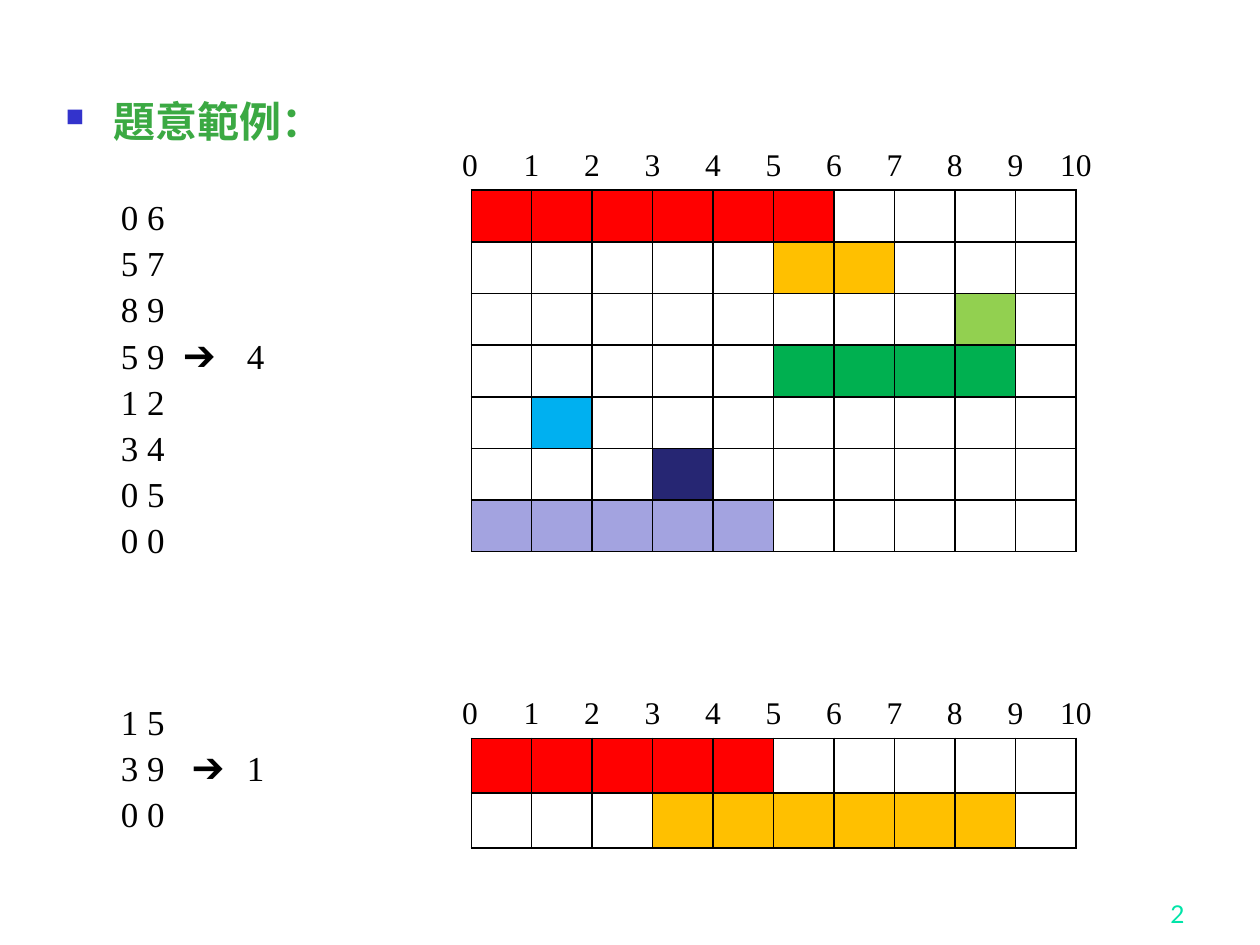
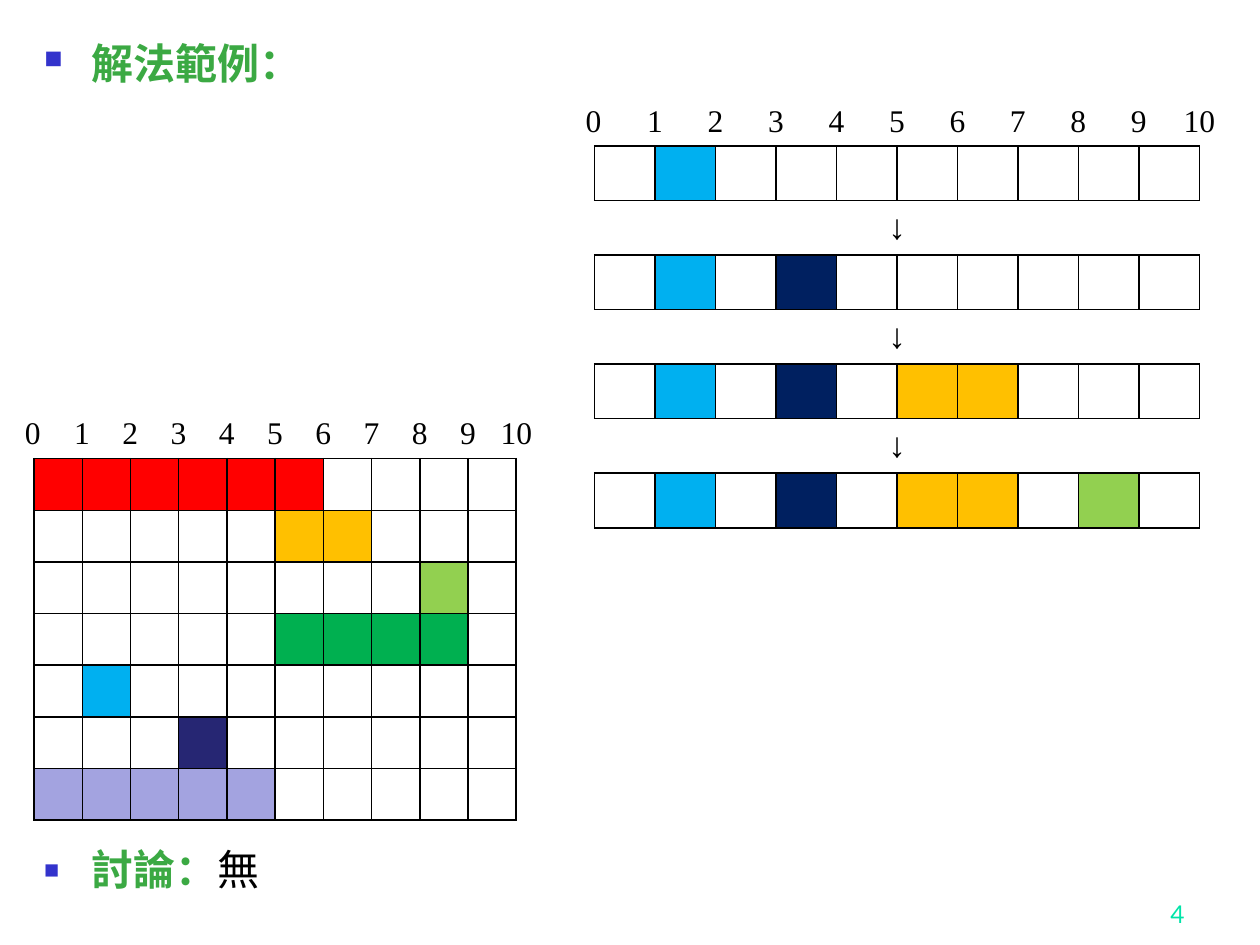
from dataclasses import dataclass
from typing import Optional

import lxml.etree
import pptx
import pptx.dml.color
import pptx.enum.text
import pptx.oxml.ns
import pptx.util

RGBColor = pptx.dml.color.RGBColor
Pt = pptx.util.Pt
Align = pptx.enum.text.PP_ALIGN
Anchor = pptx.enum.text.MSO_ANCHOR
qn = pptx.oxml.ns.qn

EMU_PER_PX = 9144
SERIF = "Times New Roman"
SANS = "Lato"

BLACK = RGBColor(0x00, 0x00, 0x00)
HEADING_GREEN = RGBColor(0x3B, 0xA9, 0x43)
BULLET_BLUE = RGBColor(0x33, 0x33, 0xCC)
NUMBER_TEAL = RGBColor(0x00, 0xE4, 0xA8)
RED = RGBColor(0xFF, 0x00, 0x00)
AMBER = RGBColor(0xFF, 0xC0, 0x00)
LIME = RGBColor(0x92, 0xD0, 0x50)
GREEN = RGBColor(0x00, 0xB0, 0x50)
SKY = RGBColor(0x00, 0xB0, 0xF0)
INDIGO = RGBColor(0x26, 0x26, 0x73)
LAVENDER = RGBColor(0xA3, 0xA3, 0xE0)
NAVY = RGBColor(0x00, 0x20, 0x60)

UNITS = 10
AXIS_OVERHANG = 17
AXIS_RISE = 41
TEXT_INSET = 10
HEADING_INDENT = 38


@dataclass(frozen=True)
class Box:
    left: int
    top: int
    width: int
    height: int


@dataclass(frozen=True)
class Interval:
    start: int
    end: int
    color: RGBColor


Row = Optional[tuple[Interval, ...]]


@dataclass(frozen=True)
class Timeline:
    left: int
    top: int
    width: int
    height: int
    rows: tuple[Row, ...]


def one_per_row(*intervals: Interval) -> tuple[Row, ...]:
    return tuple((interval,) for interval in intervals)


def growing_selection(*chosen: Interval) -> tuple[Row, ...]:
    rows: list[Row] = []
    for count in range(1, len(chosen) + 1):
        rows += [chosen[:count], None]
    return tuple(rows[:-1])


FIRST_SAMPLE = one_per_row(
    Interval(0, 6, RED),
    Interval(5, 7, AMBER),
    Interval(8, 9, LIME),
    Interval(5, 9, GREEN),
    Interval(1, 2, SKY),
    Interval(3, 4, INDIGO),
    Interval(0, 5, LAVENDER),
)
SECOND_SAMPLE = one_per_row(Interval(1 - 1, 5, RED), Interval(3, 9, AMBER))
SELECTION = growing_selection(
    Interval(1, 2, SKY),
    Interval(3, 4, NAVY),
    Interval(5, 7, AMBER),
    Interval(8, 9, LIME),
)
FIRST_INPUT = ("0 6", "5 7", "8 9", "5 9\t➔\t4", "1 2", "3 4", "0 5", "0 0")
SECOND_INPUT = ("1 5", "3 9\t ➔\t1", "0 0")


def px(length: int) -> int:
    return length * EMU_PER_PX


def place(shape, box: Box) -> None:
    shape.left, shape.top = px(box.left), px(box.top)
    shape.width, shape.height = px(box.width), px(box.height)
    frame = shape.text_frame
    frame.word_wrap = True
    frame.auto_size = pptx.enum.text.MSO_AUTO_SIZE.NONE
    frame.vertical_anchor = Anchor.TOP


def add_text_box(slide, box: Box):
    shape = slide.shapes.add_textbox(0, 0, 0, 0)
    place(shape, box)
    return shape.text_frame


def set_font(font, size: int, color: RGBColor, name: str = SERIF, bold: bool = False) -> None:
    font.size = Pt(size)
    font.name = name
    font.bold = bold
    font.color.rgb = color


def add_xml(parent, tag: str, **attributes: str):
    return lxml.etree.SubElement(parent, qn(tag), attributes)


def add_tabs(paragraph, positions: list[int], align: str) -> None:
    tabs = add_xml(paragraph._p.get_or_add_pPr(), "a:tabLst")
    for position in positions:
        add_xml(tabs, "a:tab", pos=str(position), algn=align)


def format_heading(paragraph) -> None:
    properties = paragraph._p.get_or_add_pPr()
    properties.set("marL", str(px(HEADING_INDENT)))
    properties.set("indent", str(-px(HEADING_INDENT)))
    add_xml(add_xml(properties, "a:buClr"), "a:srgbClr", val=str(BULLET_BLUE))
    add_xml(properties, "a:buSzPct", val="60000")
    add_xml(properties, "a:buChar", char="■")
    paragraph.alignment = Align.LEFT
    paragraph.line_spacing = 0.9
    paragraph.space_before = Pt(0)


def fill_title(slide, text: str, box: Box) -> None:
    title = slide.shapes.title
    place(title, box)
    paragraph = title.text_frame.paragraphs[0]
    paragraph.text = text
    format_heading(paragraph)
    set_font(paragraph.font, 24, HEADING_GREEN, bold=True)


def fill_samples(slide, samples: tuple[tuple[str, ...], ...], box: Box) -> None:
    body = slide.placeholders[1]
    place(body, box)
    frame = body.text_frame
    frame.text = "\n".join(line for sample in samples for line in sample)
    sample_starts = {len(samples[0])}
    for index, paragraph in enumerate(frame.paragraphs):
        properties = paragraph._p.get_or_add_pPr()
        properties.set("marL", "0")
        properties.set("indent", "0")
        add_xml(properties, "a:buNone")
        add_tabs(paragraph, [px(100), px(200)], "l")
        paragraph.line_spacing = 0.9
        gap = 0 if index == 0 else 82 if index in sample_starts else 4.8
        paragraph.space_before = Pt(gap)
        set_font(paragraph.font, 20, BLACK)


def fill_discussion(slide, label: str, remark: str, box: Box) -> None:
    body = slide.placeholders[1]
    place(body, box)
    paragraph = body.text_frame.paragraphs[0]
    format_heading(paragraph)
    for text, color, bold in ((label, HEADING_GREEN, True), (remark, BLACK, False)):
        run = paragraph.add_run()
        run.text = text
        set_font(run.font, 24, color, bold=bold)


def add_page_number(slide, number: int) -> None:
    frame = add_text_box(slide, Box(742, 692, 208, 50))
    frame.vertical_anchor = Anchor.BOTTOM
    paragraph = frame.paragraphs[0]
    paragraph.text = str(number)
    paragraph.alignment = Align.RIGHT
    set_font(paragraph.font, 14, NUMBER_TEAL, name=SANS)


def add_axis(slide, timeline: Timeline) -> None:
    frame = add_text_box(slide, Box(
        timeline.left - AXIS_OVERHANG, timeline.top - AXIS_RISE, timeline.width + 51, 40))
    paragraph = frame.paragraphs[0]
    paragraph.text = "\t".join(str(tick) for tick in range(UNITS + 1))
    origin = px(AXIS_OVERHANG - TEXT_INSET)
    unit = px(timeline.width) // UNITS
    add_tabs(paragraph, [origin + tick * unit for tick in range(1, UNITS + 1)], "ctr")
    set_font(paragraph.font, 18, BLACK)


def set_borders(cell, edges: str) -> None:
    properties = cell._tc.get_or_add_tcPr()
    for edge in "LRTB":
        line = add_xml(properties, f"a:ln{edge}", w=str(Pt(1)))
        if edge in edges:
            add_xml(add_xml(line, "a:solidFill"), "a:srgbClr", val=str(BLACK))
        else:
            add_xml(line, "a:noFill")


def add_down_arrow(table, row: int) -> None:
    middle = UNITS // 2
    cell = table.cell(row, middle - 1)
    cell.merge(table.cell(row, middle))
    paragraph = cell.text_frame.paragraphs[0]
    paragraph.text = "↓"
    paragraph.alignment = Align.CENTER
    set_font(paragraph.font, 20, BLACK)


def add_timeline(slide, timeline: Timeline) -> None:
    row_count = len(timeline.rows)
    table = slide.shapes.add_table(
        row_count, UNITS, px(timeline.left), px(timeline.top),
        px(timeline.width), px(timeline.height)).table
    table.first_row = False
    table.horz_banding = False
    for column in table.columns:
        column.width = px(timeline.width) // UNITS
    for row_index, intervals in enumerate(timeline.rows):
        table.rows[row_index].height = px(timeline.height) // row_count
        for unit in range(UNITS):
            cell = table.cell(row_index, unit)
            cell.margin_top = cell.margin_bottom = 0
            cell.vertical_anchor = Anchor.MIDDLE
            set_borders(cell, "TB" if intervals is None else "LRTB")
            cell.fill.background()
            for interval in intervals or ():
                if interval.start <= unit < interval.end:
                    cell.fill.solid()
                    cell.fill.fore_color.rgb = interval.color
        if intervals is None:
            add_down_arrow(table, row_index)
    add_axis(slide, timeline)


def build_problem_slide(slide) -> None:
    fill_title(slide, "題意範例：", Box(42, 75, 300, 50))
    fill_samples(slide, (FIRST_INPUT, SECOND_INPUT), Box(86, 154, 270, 520))
    add_timeline(slide, Timeline(374, 151, 480, 287, FIRST_SAMPLE))
    add_timeline(slide, Timeline(374, 586, 480, 87, SECOND_SAMPLE))
    add_page_number(slide, 2)


def build_solution_slide(slide) -> None:
    fill_title(slide, "解法範例：", Box(25, 29, 300, 50))
    fill_discussion(slide, "討論：", "無", Box(25, 669, 695, 50))
    add_timeline(slide, Timeline(27, 364, 383, 287, FIRST_SAMPLE))
    add_timeline(slide, Timeline(472, 116, 480, 303, SELECTION))
    add_page_number(slide, 4)


def main() -> None:
    deck = pptx.Presentation()
    deck.slide_width, deck.slide_height = px(1000), px(750)
    title_and_content = deck.slide_layouts[1]
    for build in (build_problem_slide, build_solution_slide):
        build(deck.slides.add_slide(title_and_content))
    deck.save("out.pptx")


if __name__ == "__main__":
    main()
